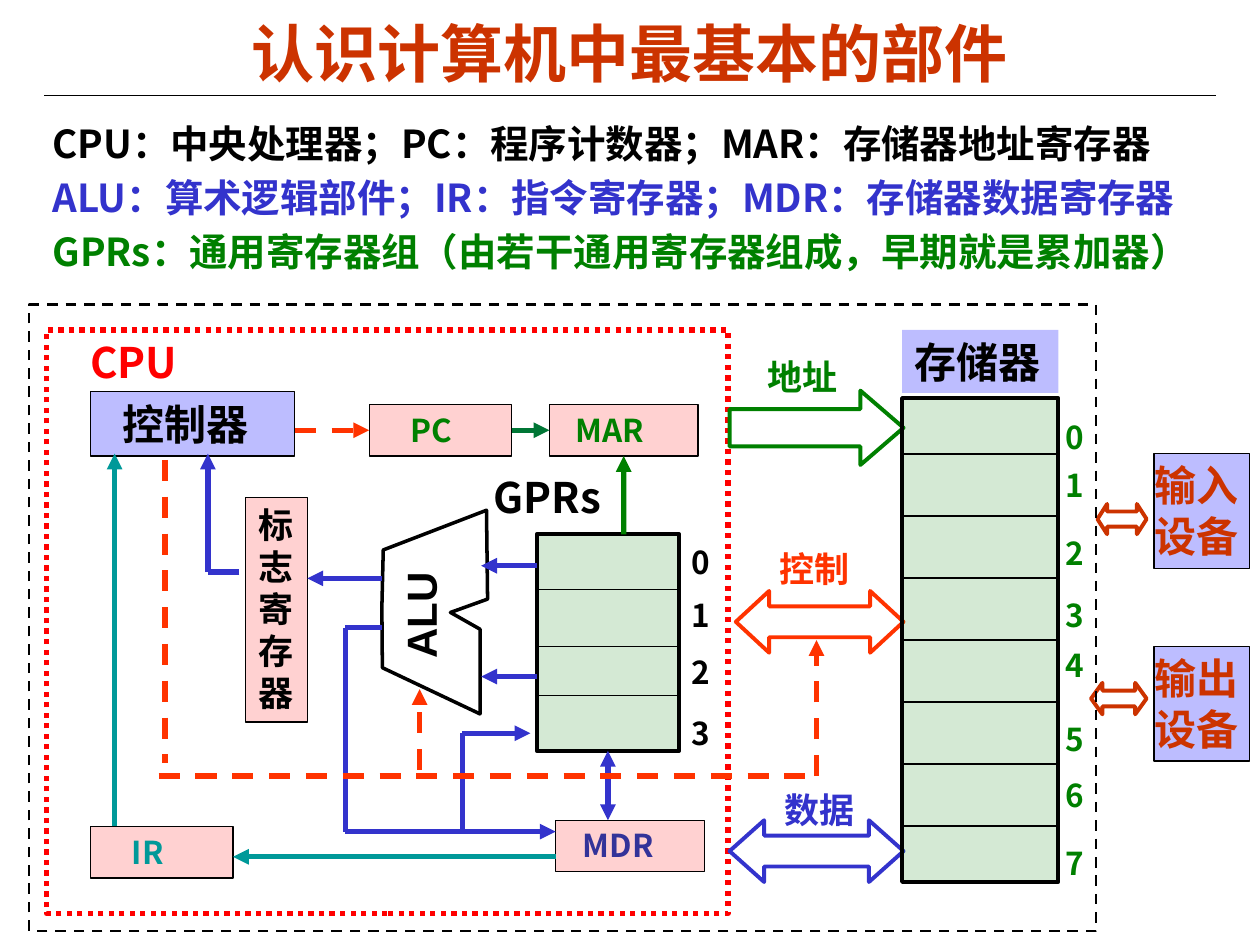
from itertools import pairwise

from lxml import etree
from pptx import Presentation
from pptx.dml.color import RGBColor
from pptx.enum.dml import MSO_LINE
from pptx.enum.shapes import MSO_CONNECTOR, MSO_SHAPE
from pptx.enum.text import MSO_ANCHOR, PP_ALIGN
from pptx.oxml.ns import qn
from pptx.util import Pt

STRAIGHT = MSO_CONNECTOR.STRAIGHT
RECT, RIGHT, BOTH = MSO_SHAPE.RECTANGLE, MSO_SHAPE.RIGHT_ARROW, MSO_SHAPE.LEFT_RIGHT_ARROW
DASH, DOT = MSO_LINE.DASH, MSO_LINE.ROUND_DOT
TOP, MIDDLE = MSO_ANCHOR.TOP, MSO_ANCHOR.MIDDLE
LEFT, CENTER = PP_ALIGN.LEFT, PP_ALIGN.CENTER
CJK = "Noto Sans CJK SC"
C = {"black": "000000", "white": "FFFFFF", "rust": "CC3300", "blue": "3333CC",
     "green": "008000", "red": "FF0000", "orange": "FF3300", "teal": "009999",
     "pure_blue": "0000FF", "navy": "333399", "dark_green": "007635"}
LILAC, PINK, MINT = ("pure_blue", 26), ("red", 18), ("green", 17)


def rgb(name):
    """Return the colour registered under a name."""
    return RGBColor.from_string(C[name])


def write(sp, lines, size, color, font=CJK, left=7.2, right=7.2, hang=0, gap=0, align=LEFT):
    """Fill a shape with bold lines; color is one name or one per line."""
    tf = sp.text_frame
    tf.word_wrap = True
    tf.vertical_anchor = TOP
    tf.margin_left, tf.margin_right = Pt(left), Pt(right)
    colors = [color] * len(lines) if isinstance(color, str) else color
    for i, (text, name) in enumerate(zip(lines, colors)):
        p = tf.paragraphs[0] if i == 0 else tf.add_paragraph()
        p.alignment = align
        p.line_spacing = Pt(size * 1.2)
        p.space_before = Pt(gap if i else 0)
        if hang:
            pPr = p._p.get_or_add_pPr()
            pPr.set("marL", str(Pt(hang)))
            pPr.set("indent", str(Pt(-hang)))
        r = p.add_run()
        r.text = text
        r.font.size, r.font.bold, r.font.name = Pt(size), True, font
        r.font.color.rgb = rgb(name)
        etree.SubElement(r._r.get_or_add_rPr(), qn("a:ea"), typeface=CJK)


def label(s, frame, lines, size, color, **style):
    """Add a text box and return it."""
    sp = s.shapes.add_textbox(*map(Pt, frame))
    write(sp, lines, size, color, **style)
    return sp


def shape(s, kind, frame, fill=None, line=None, width=0.75, dash=None):
    """Add a preset shape; fill is a (colour, opacity percent) pair."""
    sp = s.shapes.add_shape(kind, *map(Pt, frame))
    sp.shadow.inherit = False
    if fill:
        name, opacity = fill
        sp.fill.solid()
        sp.fill.fore_color.rgb = rgb(name)
        if opacity < 100:
            clr = sp.fill._xPr.find(qn("a:solidFill"))[0]
            etree.SubElement(clr, qn("a:alpha"), val=str(opacity * 1000))
    else:
        sp.fill.background()
    if line:
        sp.line.color.rgb = rgb(line)
        sp.line.width = Pt(width)
        if dash:
            sp.line.dash_style = dash
    else:
        sp.line.fill.background()
    return sp


def box(s, frame, lines, size, color, fill, line="black", **style):
    """Add a tinted rectangle with text."""
    sp = shape(s, RECT, frame, fill, line)
    write(sp, lines, size, color, **style)
    return sp


def block_arrow(s, kind, frame, color, head):
    """Add a hollow bus arrow."""
    sp = shape(s, kind, frame, ("white", 100), color, 2.25)
    sp.adjustments[0], sp.adjustments[1] = 0.5, head


def wire(s, points, color, width=3, dash=None, head=False, tail=True):
    """Draw straight connectors through the points and return the last one."""
    for start, end in pairwise(points):
        cx = s.shapes.add_connector(STRAIGHT, *map(Pt, (*start, *end)))
        cx.line.color.rgb = rgb(color)
        cx.line.width = Pt(width)
        if dash:
            cx.line.dash_style = dash
        etree.SubElement(cx._element.spPr, qn("a:effectLst"))
    ln = cx.line._get_or_add_ln()
    for tag, wanted in (("a:headEnd", head), ("a:tailEnd", tail)):
        if wanted:
            etree.SubElement(ln, qn(tag), type="triangle")
    return cx


def cells(s, frame, dividers, label_x, label_tops, color):
    """Draw a stack of storage cells with numbered labels beside it."""
    sp = shape(s, RECT, frame, MINT, "black", 2.25)
    x, _, w, _ = frame
    for y in dividers:
        wire(s, [(x, y), (x + w, y)], "black", 0.75, tail=False)
    for i, y in enumerate(label_tops):
        label(s, (label_x, y, 25, 28.8), [str(i)], 18, color)
    return sp


def heading(s):
    """Add the title, its rule and the glossary."""
    wire(s, [(25.2, 54.7), (694.8, 54.7)], "black", 0.75, tail=False)
    title = label(s, (36, 7.9, 648, 43.9), ["认识计算机中最基本的部件"], 36, "rust",
                  font="Arial", align=CENTER)
    title.text_frame.vertical_anchor = MIDDLE
    label(s, (23, 64.8, 692, 97.2),
          ["CPU：中央处理器；PC：程序计数器；MAR：存储器地址寄存器",
           "ALU：算术逻辑部件；IR：指令寄存器；MDR：存储器数据寄存器",
           "GPRs：通用寄存器组（由若干通用寄存器组成，早期就是累加器）"],
          22, ["black", "blue", "green"], hang=27, gap=4.6)


def alu(s):
    """Draw the notched ALU outline and its name."""
    outline = [(278, 291.6), (278.6, 342.4), (257.4, 350), (274.3, 359.6),
               (274.3, 408), (218.5, 381.6), (218.2, 347), (219, 314.3)]
    points = [(Pt(x), Pt(y)) for x, y in outline]
    fb = s.shapes.build_freeform(*points[0])
    fb.add_line_segments(points[1:], close=True)
    sp = fb.convert_to_shape()
    sp.shadow.inherit = False
    sp.fill.background()
    sp.line.color.rgb = rgb("black")
    sp.line.width = Pt(2)
    label(s, (206.6, 334.8, 64.1, 33.1), ["ALU"], 24, "black", font="Arial").rotation = 270


def cpu(s):
    """Draw the processor with its registers and wiring."""
    shape(s, RECT, (26.6, 188.6, 389.5, 333.4), None, "red", 3, DOT)
    label(s, (44.6, 188.6, 67, 36), ["CPU"], 24, "red")
    box(s, (51.8, 223.9, 116.7, 36.7), ["控制器"], 24, "black", LILAC, left=18)
    pc = box(s, (211, 231.1, 81.4, 29.5), ["PC"], 18, "green", PINK, left=23.5)
    mar = box(s, (313.9, 231.1, 85, 29.5), ["MAR"], 18, "green", PINK, left=15)
    box(s, (317.5, 468.7, 85, 29.5), ["MDR"], 18, "navy", PINK, left=15.5)
    box(s, (51.8, 472.3, 81.4, 29.5), ["IR"], 18, "teal", PINK, left=23.5)
    box(s, (140.4, 284.4, 35.3, 128.2), list("标志寄存器"), 20, "black", PINK)
    alu(s)
    label(s, (275, 265.7, 92.2, 36), ["GPRs"], 24, "black")
    gprs = cells(s, (306.7, 305.3, 81.4, 123.8), (337, 369.4, 397.4),
                 388.1, (306.7, 337, 369.4, 404.6), "black")

    wire(s, [(168.5, 245.85), (211, 245.85)], "orange", dash=DASH).end_connect(pc, 1)
    cx = wire(s, [(292.4, 245.85), (313.9, 245.85)], "dark_green")
    cx.begin_connect(pc, 3)
    cx.end_connect(mar, 1)
    wire(s, [(356.4, 305.3), (356.4, 260.6)], "green").end_connect(mar, 2)
    wire(s, [(347.4, 429.1), (347.4, 468.7)], "blue", head=True).begin_connect(gprs, 2)
    for y in (323.3, 386.6):
        wire(s, [(306.7, y), (275, y)], "blue")
    wire(s, [(218.2, 330.5), (175.7, 330.5)], "blue")
    wire(s, [(136.8, 326.9), (118.8, 326.9), (118.8, 259.2)], "blue")
    wire(s, [(218.2, 358.6), (197.3, 358.6), (197.3, 475.2), (317.5, 475.2)], "blue")
    wire(s, [(264.2, 475.2), (264.2, 419), (303.1, 419)], "blue")
    wire(s, [(90.7, 443.5), (463, 443.5)], "orange", dash=DASH, tail=False)
    wire(s, [(94.3, 262.8), (94.3, 436.3)], "orange", dash=DASH, tail=False)
    wire(s, [(239.8, 439.9), (239.8, 393.8)], "orange", dash=DASH)
    wire(s, [(317.5, 489.6), (133.2, 489.6)], "teal")
    wire(s, [(65.5, 472.3), (65.5, 259.2)], "teal")


def memory_and_devices(s):
    """Draw the buses, the memory, the devices and the system border."""
    for text, x, y, color in (("地址", 431.3, 199.4, "green"), ("控制", 438.5, 309.6, "orange"),
                              ("数据", 441.4, 447.1, "blue")):
        label(s, (x, y, 67.7, 31), [text], 20, color)
    block_arrow(s, RIGHT, (416.9, 223.2, 99.4, 42.5), "green", 0.58)
    block_arrow(s, BOTH, (420.5, 337.7, 95.8, 35.3), "orange", 0.54)
    block_arrow(s, BOTH, (416.9, 468.7, 99.4, 35.3), "blue", 0.56)
    wire(s, [(466.6, 443.5), (466.6, 365.8)], "orange", dash=DASH)

    box(s, (515.5, 188.6, 89.3, 36), ["存储器"], 24, "black", LILAC, line=None)
    cells(s, (515.5, 227.5, 89.3, 276.5), [259.4 + 35.45 * i for i in range(7)],
          601.9, (235.4, 262.8, 301.7, 337, 365.8, 408.2, 439.9, 478.8), "green")

    for text, y in (("输入", 259.2), ("输出", 369.4)):
        box(s, (659.5, y, 54.7, 65.5), [text, "设备"], 24, "rust", LILAC, left=0, right=0)
    block_arrow(s, BOTH, (627.1, 288, 28.1, 17.3), "rust", 0.32)
    block_arrow(s, BOTH, (623.5, 390.2, 31.7, 18), "rust", 0.36)
    shape(s, RECT, (16.6, 174.2, 609.8, 357.8), None, "black", 1.5, DASH)


def main():
    """Build the slide and save it."""
    prs = Presentation()
    prs.slide_width, prs.slide_height = Pt(720), Pt(540)
    s = prs.slides.add_slide(prs.slide_layouts[6])
    heading(s)
    cpu(s)
    memory_and_devices(s)
    prs.save("out.pptx")


if __name__ == "__main__":
    main()
